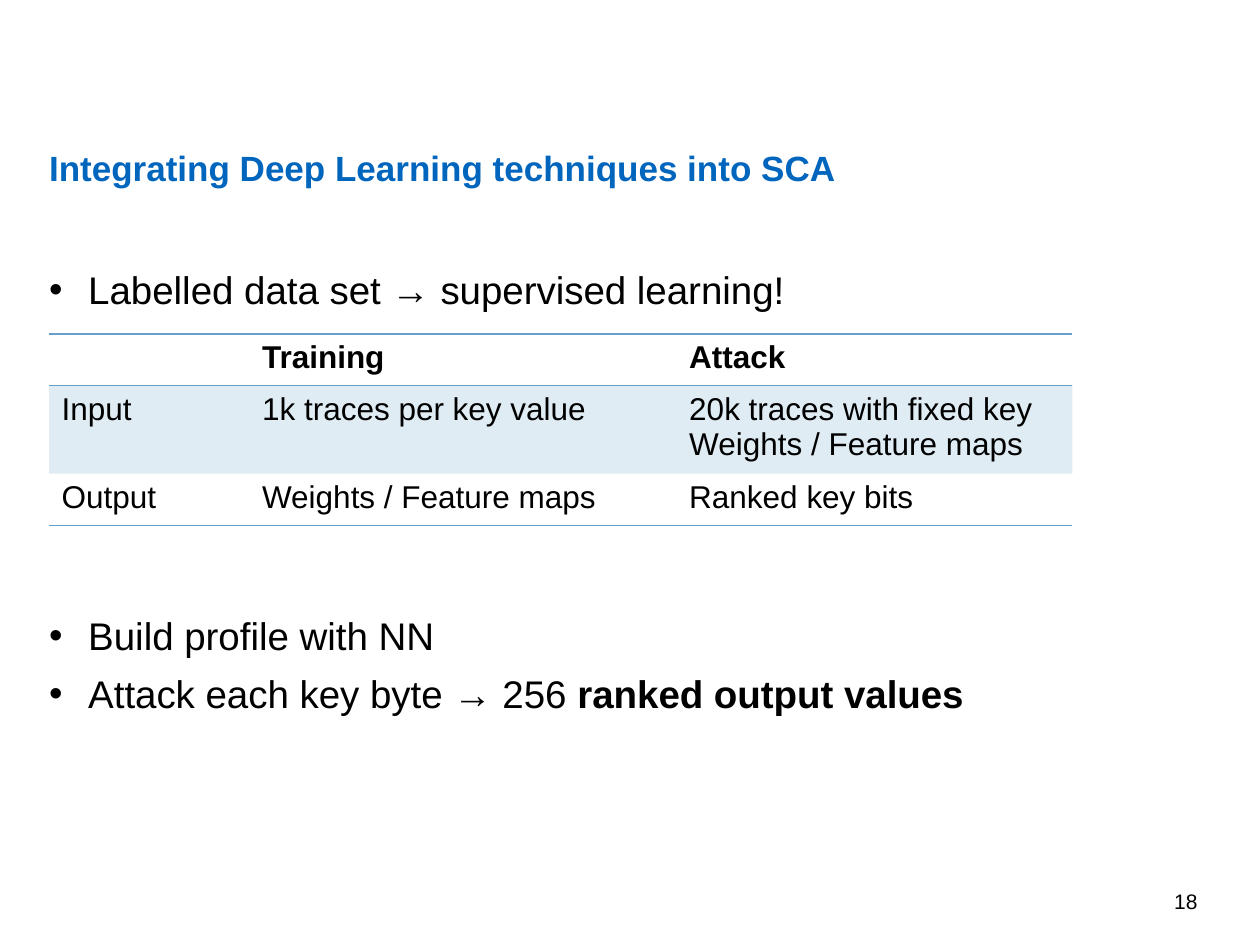
"""Build the slide on integrating deep learning techniques into SCA."""
from dataclasses import dataclass
from typing import Any

from lxml import etree
from pptx import Presentation
from pptx.dml.color import RGBColor
from pptx.enum.text import MSO_ANCHOR, PP_ALIGN
from pptx.oxml.ns import qn
from pptx.util import Cm, Pt

MIDDLE, TOP = MSO_ANCHOR.MIDDLE, MSO_ANCHOR.TOP
LEFT, RIGHT = PP_ALIGN.LEFT, PP_ALIGN.RIGHT
BLACK = RGBColor(0x00, 0x00, 0x00)
TITLE_BLUE = RGBColor(0x00, 0x65, 0xBD)
TABLE_BLUE = RGBColor(0x64, 0xA0, 0xC8)
PLAIN_TABLE_STYLE = "{2D5ABB26-0587-4C30-8999-92F81FD0307C}"
MARGIN_LEFT = Cm(0.99)
BULLET_INDENT = Cm(0.79)
TABLE_GAP = Pt(165)


@dataclass(frozen=True)
class Line:
    """A paragraph with an optional bold ending."""

    text: str
    bold_ending: str = ""
    space_before: int = 0


@dataclass(frozen=True)
class Row:
    """A table row with its emphasis, ruled sides and shading."""

    cells: tuple[str, ...]
    bold: bool = False
    ruled: tuple[str, ...] = ()
    shaded: bool = False


BULLETS = (
    Line("Labelled data set → supervised learning!"),
    Line("Build profile with NN", space_before=TABLE_GAP),
    Line("Attack each key byte → 256 ", "ranked output values"),
)
ROWS = (
    Row(("", "Training", "Attack"), bold=True, ruled=("a:lnT", "a:lnB")),
    Row(("Input", "1k traces per key value",
         "20k traces with fixed key\nWeights / Feature maps"), shaded=True),
    Row(("Output", "Weights / Feature maps", "Ranked key bits"), ruled=("a:lnB",)),
)
COLUMN_WIDTHS = (Cm(4.04), Cm(8.61), Cm(7.98))
ROW_HEIGHT = Cm(1.04)


def apply_format(target: Any, values: dict[str, Any]) -> None:
    """Set each named attribute on the target."""
    for name, value in values.items():
        setattr(target, name, value)


def add_run(paragraph: Any, text: str, size: int,
            color: RGBColor = BLACK, bold: bool = False) -> None:
    """Append formatted text to a paragraph."""
    run = paragraph.add_run()
    run.text = text
    apply_format(run.font, {"name": "Arial", "size": Pt(size), "bold": bold})
    run.font.color.rgb = color


def add_frame(slide: Any, box: tuple[int, ...], inset: bool = False,
              anchor: Any = TOP) -> Any:
    """Add a wrapping text box and return its text frame."""
    frame = slide.shapes.add_textbox(*box).text_frame
    apply_format(frame, {"word_wrap": True, "vertical_anchor": anchor})
    if not inset:
        sides = ("left", "top", "right", "bottom")
        apply_format(frame, {f"margin_{side}": 0 for side in sides})
    return frame


def add_bullets(frame: Any, lines: tuple[Line, ...]) -> None:
    """Write the lines as a bulleted list."""
    for index, line in enumerate(lines):
        paragraph = frame.add_paragraph() if index else frame.paragraphs[0]
        apply_format(paragraph, {"line_spacing": 1.25, "alignment": LEFT,
                                 "space_before": line.space_before})
        properties = paragraph._p.get_or_add_pPr()
        properties.set("marL", str(BULLET_INDENT))
        properties.set("indent", str(-BULLET_INDENT))
        etree.SubElement(properties, qn("a:buFont"), typeface="Arial")
        etree.SubElement(properties, qn("a:buChar"), char="•")
        add_run(paragraph, line.text, 22)
        if line.bold_ending:
            add_run(paragraph, line.bold_ending, 22, bold=True)


def add_rule(cell: Any, side: str) -> None:
    """Draw a thin blue border on one side of a cell."""
    border = etree.SubElement(cell._tc.get_or_add_tcPr(), qn(side), w=str(Pt(1)))
    fill = etree.SubElement(border, qn("a:solidFill"))
    etree.SubElement(fill, qn("a:srgbClr"), val=str(TABLE_BLUE))


def fill_cell(cell: Any, text: str, row: Row) -> None:
    """Write, rule and shade one table cell."""
    for side in row.ruled:
        add_rule(cell, side)
    if row.shaded:
        cell.fill.solid()
        cell.fill.fore_color.rgb = TABLE_BLUE
        color = cell._tc.tcPr.find(".//" + qn("a:srgbClr"))
        etree.SubElement(color, qn("a:alpha"), val="20000")
    else:
        cell.fill.background()
    frame = cell.text_frame
    for index, part in enumerate(text.split("\n") if text else ()):
        paragraph = frame.add_paragraph() if index else frame.paragraphs[0]
        add_run(paragraph, part, 18, bold=row.bold)


def add_traces_table(slide: Any, rows: tuple[Row, ...]) -> None:
    """Add the table comparing training and attack."""
    table = slide.shapes.add_table(
        len(rows), len(COLUMN_WIDTHS), MARGIN_LEFT, Cm(6.73),
        sum(COLUMN_WIDTHS), ROW_HEIGHT * len(rows)).table
    apply_format(table, {"first_row": True, "horz_banding": False})
    table._tbl.tblPr.find(qn("a:tableStyleId")).text = PLAIN_TABLE_STYLE
    for column, width in zip(table.columns, COLUMN_WIDTHS):
        column.width = width
    for table_row, row in zip(table.rows, rows):
        table_row.height = ROW_HEIGHT
        for cell, text in zip(table_row.cells, row.cells):
            fill_cell(cell, text, row)


def main() -> None:
    """Assemble and save the slide."""
    deck = Presentation()
    apply_format(deck, {"slide_width": Cm(25.4), "slide_height": Cm(19.05)})
    slide = deck.slides.add_slide(deck.slide_layouts[6])

    heading = add_frame(slide, (MARGIN_LEFT, Cm(2.74), Cm(20.62), Cm(0.99)))
    heading.paragraphs[0].line_spacing = 1.25
    add_run(heading.paragraphs[0], "Integrating Deep Learning techniques into SCA",
            20, TITLE_BLUE, bold=True)

    body = add_frame(slide, (MARGIN_LEFT, Cm(5.13), Cm(23.39), Cm(12.27)))
    add_bullets(body, BULLETS)

    page_number = add_frame(slide, (Cm(18.47), Cm(17.65), Cm(5.92), Cm(1.02)),
                            inset=True, anchor=MIDDLE)
    page_number.paragraphs[0].alignment = RIGHT
    add_run(page_number.paragraphs[0], "18", 12)

    add_traces_table(slide, ROWS)
    deck.save("out.pptx")


if __name__ == "__main__":
    main()
